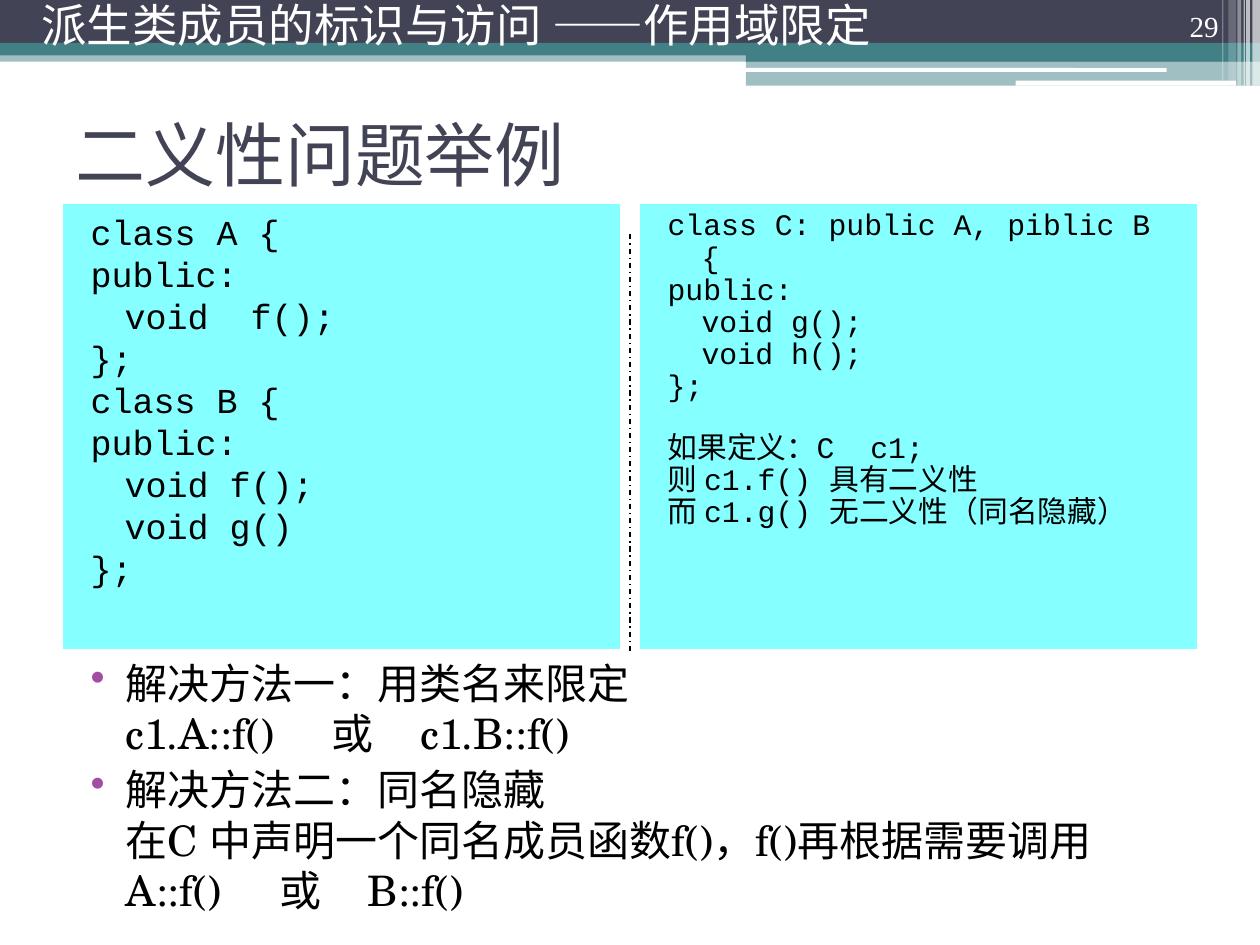
from lxml.etree import SubElement
from pptx import Presentation
from pptx.dml.color import RGBColor
from pptx.enum.dml import MSO_LINE
from pptx.enum.shapes import MSO_CONNECTOR, MSO_SHAPE
from pptx.enum.text import MSO_ANCHOR, PP_ALIGN
from pptx.oxml.ns import qn
from pptx.util import Inches, Pt

WHITE, BLACK = "FFFFFF", "000000"
NAVY, TEAL, CYAN, PURPLE = "424456", "438086", "85FFFF", "A04DA3"

# Header: left, top, width, height, colour, opacity in percent
HEADER_BANDS = [
    (0, 0.4, 10, 0.09, TEAL, 50),
    (0, 0, 10, 0.34, NAVY, 100),
    (0, 0.34, 10, 0.1, TEAL, 100),
    (5.92, 0.39, 4.08, 0.1, TEAL, 100),
    (5.92, 0.48, 4.08, 0.2, TEAL, 50),
]
HEADER_GAPS = [(5.91, 0.54, 3.35, 0.03), (8.06, 0.64, 1.75, 0.04)]
# Vertical stripes: left, width, height, opacity
HEADER_STRIPES = [
    (9.94, 0.06, 0.68, 65),
    (9.89, 0.03, 0.68, 65),
    (9.87, 0.01, 0.68, 60),
    (9.82, 0.03, 0.68, 40),
    (9.75, 0.06, 0.64, 20),
    (9.7, 0.01, 0.64, 30),
]

BASE_CLASSES = [
    "class A {", "public:", "\tvoid  f();", "};",
    "class B {", "public:", "\tvoid f();", "\tvoid g()", "};",
]
DERIVED_CLASS = [
    "class C: public A, piblic B {", "public:", "\tvoid g();", "\tvoid h();", "};",
]
AMBIGUITY = ["如果定义：C  c1;", "则 c1.f() 具有二义性", "而 c1.g() 无二义性（同名隐藏）"]
SOLUTIONS = [
    ("解决方法一：用类名来限定\nc1.A::f()\t或\tc1.B::f()", (2.03, 2.74)),
    ("解决方法二：同名隐藏\n在C 中声明一个同名成员函数f()，f()再根据需要调用 A::f()\t或\tB::f()",
     (1.62, 2.32)),
]


def color(hex_text):
    return RGBColor.from_string(hex_text)


def add_block(slide, left, top, width, height, fill, opacity=100,
              kind=MSO_SHAPE.RECTANGLE):
    block = slide.shapes.add_shape(
        kind, Inches(left), Inches(top), Inches(width), Inches(height))
    block.shadow.inherit = False
    block.fill.solid()
    block.fill.fore_color.rgb = color(fill)
    block.line.fill.background()
    if opacity < 100:
        srgb = block.fill._xPr.find(".//" + qn("a:srgbClr"))
        SubElement(srgb, qn("a:alpha"), val=str(opacity * 1000))
    return block


def add_frame(slide, left, top, width, height, anchor):
    box = slide.shapes.add_textbox(
        Inches(left), Inches(top), Inches(width), Inches(height))
    return prepare_frame(box, anchor)


def prepare_frame(holder, anchor):
    frame = holder.text_frame
    frame.word_wrap = True
    frame.vertical_anchor = anchor
    return frame


def write(frame, text, *, size, font, fill, align=PP_ALIGN.LEFT, spacing=None,
          before=0, indent=None, bullet=None, tabs=()):
    """Add one paragraph; the first call fills the frame's empty one."""
    paragraph = frame.paragraphs[0]
    if paragraph.text:
        paragraph = frame.add_paragraph()
    paragraph.text = text
    paragraph.alignment = align
    paragraph.line_spacing = spacing
    paragraph.space_before = Pt(before)
    for run in paragraph.runs:
        run.font.size = Pt(size)
        run.font.name = font
        run.font.color.rgb = color(fill)
    properties = paragraph._p.get_or_add_pPr()
    if indent:
        margin, first_line = indent
        properties.set("marL", str(Inches(margin)))
        properties.set("indent", str(Inches(first_line)))
    if bullet:
        bullet_color = SubElement(properties, qn("a:buClr"))
        SubElement(bullet_color, qn("a:srgbClr"), val=bullet)
        SubElement(properties, qn("a:buChar"), char="•")
    if tabs:
        tab_list = SubElement(properties, qn("a:tabLst"))
        for position in tabs:
            SubElement(tab_list, qn("a:tab"), pos=str(Inches(position)), algn="l")


def add_header(slide):
    for band in HEADER_BANDS:
        add_block(slide, *band)
    for gap in HEADER_GAPS:
        add_block(slide, *gap, WHITE, kind=MSO_SHAPE.ROUNDED_RECTANGLE)
    for left, width, height, opacity in HEADER_STRIPES:
        add_block(slide, left, 0, width, height, WHITE, opacity)


def add_code_panel(slide, left):
    panel = add_block(slide, left, 1.62, 4.42, 3.53, CYAN)
    return prepare_frame(panel, MSO_ANCHOR.TOP)


def write_code(frame, lines, size, spacing=None, gap=0):
    """Write code lines, with a gap above the first of them."""
    for number, line in enumerate(lines):
        write(frame, line, size=size, font="Courier New", fill=BLACK,
              spacing=spacing, before=0 if number else gap, indent=(0.39, -0.27))


def add_divider(slide, x, top, bottom):
    divider = slide.shapes.add_connector(
        MSO_CONNECTOR.STRAIGHT, Inches(x), Inches(top), Inches(x), Inches(bottom))
    divider.line.color.rgb = color(BLACK)
    divider.line.width = Pt(0.75)
    divider.line.dash_style = MSO_LINE.DASH_DOT
    SubElement(divider._element.spPr, qn("a:effectLst"))


def main():
    presentation = Presentation()
    presentation.slide_width = Inches(10)
    presentation.slide_height = Inches(7.5)
    slide = presentation.slides.add_slide(presentation.slide_layouts[6])

    add_header(slide)

    # Title
    title = add_frame(slide, 0.5, 0.63, 9, 1.17, MSO_ANCHOR.MIDDLE)
    write(title, "二义性问题举例", size=40, font="Karla", fill=NAVY)

    # Code panels
    write_code(add_code_panel(slide, 0.5), BASE_CLASSES, 20)
    derived = add_code_panel(slide, 5.08)
    write_code(derived, DERIVED_CLASS, 17, spacing=0.9)
    write_code(derived, AMBIGUITY, 17, spacing=0.9, gap=17)

    # Page number, divider and section heading
    page_number = add_frame(slide, 8.94, 0, 0.83, 0.4, MSO_ANCHOR.BOTTOM)
    write(page_number, "29", size=16.6, font="Times New Roman", fill=WHITE,
          align=PP_ALIGN.RIGHT, spacing=0.9)
    add_divider(slide, 5, 1.86, 5.17)
    section = add_frame(slide, 0.23, 0, 9.57, 0.47, MSO_ANCHOR.MIDDLE)
    write(section, "派生类成员的标识与访问 ——作用域限定", size=26, font="Karla",
          fill=WHITE, spacing=0.8)

    # Solutions
    solutions = add_frame(slide, 0.5, 5.17, 8.99, 2.13, MSO_ANCHOR.TOP)
    for text, tabs in SOLUTIONS:
        write(solutions, text, size=24, font="TeX Gyre Schola", fill=BLACK,
              before=3, indent=(0.4, -0.28), bullet=PURPLE, tabs=tabs)

    presentation.save("out.pptx")


if __name__ == "__main__":
    main()
